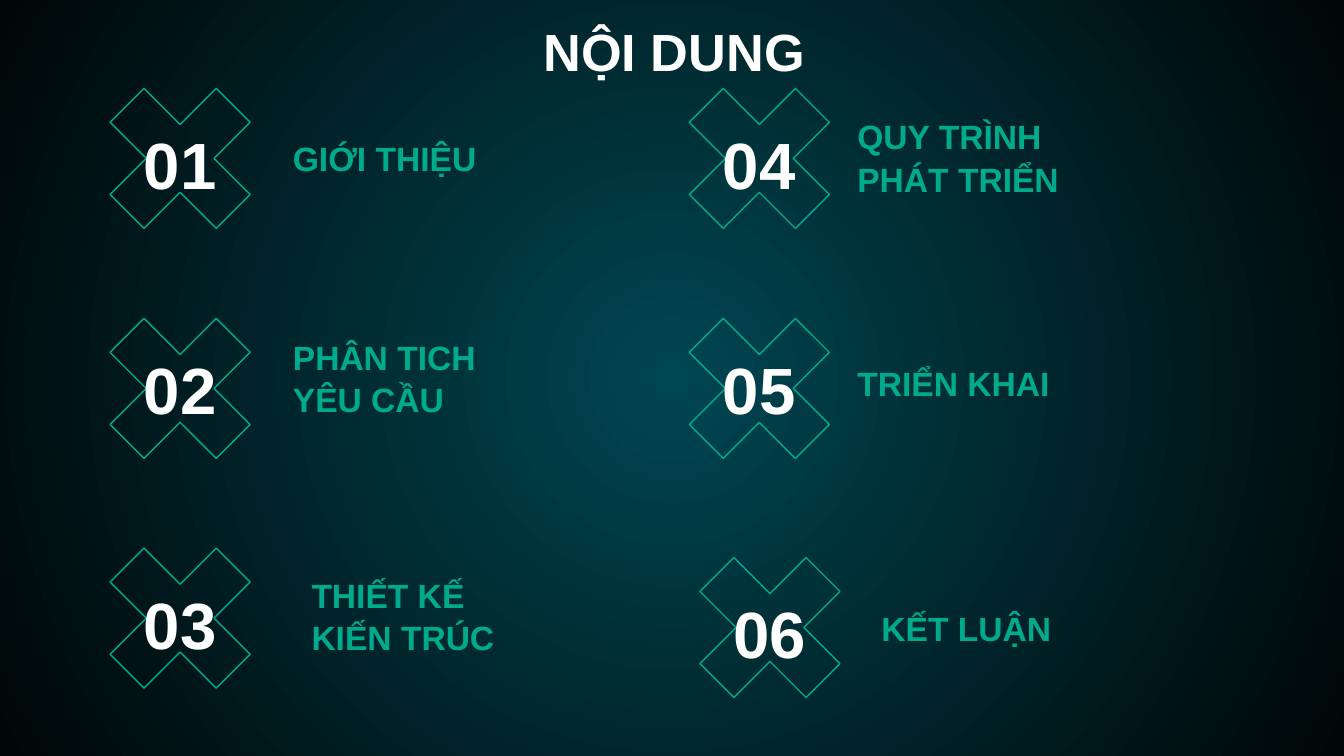
from lxml import etree
from pptx import Presentation
from pptx.dml.color import RGBColor
from pptx.enum import shapes, text
from pptx.oxml.ns import qn
from pptx.util import Pt

WHITE = RGBColor(0xFF, 0xFF, 0xFF)
GREEN = RGBColor(0x00, 0xAB, 0x8D)
TEAL = RGBColor(0x00, 0x46, 0x51)
BLACK = RGBColor(0x00, 0x06, 0x07)

TITLE = "NỘI DUNG "
# number, lines, mark (left, top), number drop, label (left, top, height), hanging indent
ITEMS = [
    ("01", ["GIỚI THIỆU"], (41.8, 30.2), 36.7, (149.8, 73.4, 29.5), 0),
    ("02", ["PHÂN TICH", "YÊU CẦU"], (41.8, 153.4), 33.8, (149.8, 178.6, 53.3), 0),
    ("03", ["THIẾT KẾ", "KIẾN TRÚC"], (41.8, 276.5), 36.7, (151.2, 303.1, 56.2), 36),
    ("04", ["QUY TRÌNH", "PHÁT TRIỂN"], (352.1, 30.2), 36.7, (452.2, 56.2, 57.6), 0),
    ("05", ["TRIỂN KHAI"], (352.1, 153.4), 33.8, (452.2, 193.7, 29.5), 0),
    ("06", ["KẾT LUẬN"], (357.8, 281.5), 36.7, (465.1, 324.7, 29.5), 0),
]
MARK = 109.4
NUMBER_W, NUMBER_H = 67.7, 35.3
LABEL_W = 203
HANG = 27.4


def write(sp, lines, size, color, align, anchor, spacing, indent=0):
    tf = sp.text_frame
    tf.word_wrap = True
    tf.auto_size = text.MSO_AUTO_SIZE.NONE
    tf.vertical_anchor = anchor
    tf.margin_left = tf.margin_right = tf.margin_top = tf.margin_bottom = Pt(7.2)
    tf.text = "\n".join(lines)
    for p in tf.paragraphs:
        if indent:
            pPr = p._p.get_or_add_pPr()
            pPr.set("marL", str(Pt(indent)))
            pPr.set("indent", str(-Pt(HANG)))
        p.alignment = align
        p.line_spacing = spacing
        p.space_before = Pt(0)
        p.font.name = "Arial"
        p.font.size = Pt(size)
        p.font.bold = True
        p.font.color.rgb = color


def paint_background(s):
    fill = s.background.fill
    fill.gradient()
    for stop, color in zip(fill.gradient_stops, (TEAL, BLACK)):
        stop.color.rgb = color
    lin = s.background._cSld.find(".//" + qn("a:lin"))
    grad = lin.getparent()
    circle = etree.Element(qn("a:path"), {"path": "circle"})
    etree.SubElement(circle, qn("a:fillToRect"), dict.fromkeys("ltrb", "50000"))
    grad.replace(lin, circle)


def add_mark(s, left, top):
    sp = s.shapes.add_shape(shapes.MSO_SHAPE.MATH_MULTIPLY,
                            Pt(left), Pt(top), Pt(MARK), Pt(MARK))
    sp.adjustments[0] = 0.235
    sp.shadow.inherit = False
    sp.fill.background()
    sp.line.color.rgb = GREEN
    sp.line.width = Pt(0.75)


def add_item(s, number, lines, mark, drop, label, indent):
    left, top = mark
    add_mark(s, left, top)
    sp = s.shapes.add_textbox(Pt(left + (MARK - NUMBER_W) / 2), Pt(top + drop),
                              Pt(NUMBER_W), Pt(NUMBER_H))
    write(sp, [number], 35, WHITE, text.PP_ALIGN.CENTER, text.MSO_ANCHOR.MIDDLE, 1.15)
    x, y, height = label
    sp = s.shapes.add_textbox(Pt(x), Pt(y), Pt(LABEL_W), Pt(height))
    write(sp, lines, 18, GREEN, text.PP_ALIGN.LEFT, text.MSO_ANCHOR.BOTTOM, 1.05, indent)


def main():
    prs = Presentation()
    prs.slide_width, prs.slide_height = Pt(720), Pt(405)
    s = prs.slides.add_slide(prs.slide_layouts[5])
    paint_background(s)
    title = s.shapes.title
    title.left, title.top, title.width, title.height = Pt(61.2), Pt(0), Pt(607.7), Pt(45.4)
    write(title, [TITLE], 28, WHITE, text.PP_ALIGN.CENTER, text.MSO_ANCHOR.TOP, 1.1)
    for item in ITEMS:
        add_item(s, *item)
    prs.save("out.pptx")


if __name__ == "__main__":
    main()
